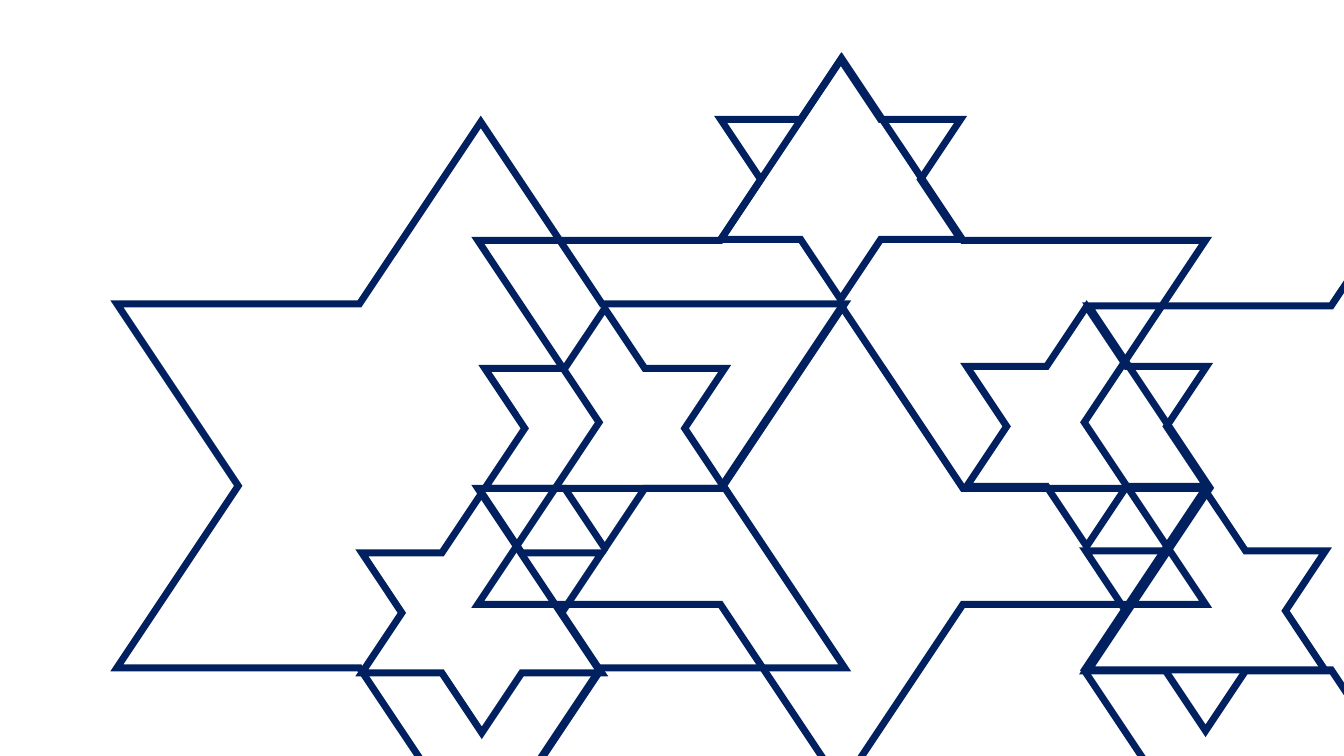
"""Build a slide with a pattern of overlapping outlined six-pointed stars."""
from typing import NamedTuple

from lxml import etree
from pptx import Presentation
from pptx import util as u
from pptx.dml import color
from pptx.enum import shapes
from pptx.oxml import ns
from pptx.slide import Slide

NAVY = "002060"
LINE_WIDTH = 5
LARGE = 519.84
SMALL = 171.36


class Star(NamedTuple):
    left: float
    top: float
    size: float


STARS = [
    Star(341.28, 41.76, LARGE),
    Star(514.8, 42.48, SMALL),
    Star(775.44, 350.64, SMALL),
    Star(346.32, 220.32, SMALL),
    Star(690.48, 218.88, SMALL),
    Star(258.48, 352.08, SMALL),
    Star(341.28, 218.88, LARGE),
    Star(777.6, 88.56, LARGE),
    Star(83.52, 87.12, LARGE),
]


def rgb(value: str) -> color.RGBColor:
    return color.RGBColor.from_string(value)


def draw_star(slide: Slide, star: Star) -> None:
    shape = slide.shapes.add_shape(
        shapes.MSO_SHAPE.STAR_6_POINT,
        u.Pt(star.left), u.Pt(star.top), u.Pt(star.size), u.Pt(star.size),
    )
    shape.shadow.inherit = False
    shape.fill.background()
    shape.line.color.rgb = rgb(NAVY)
    shape.line.width = u.Pt(LINE_WIDTH)
    outline = shape.element.spPr.find(ns.qn("a:ln"))
    etree.SubElement(outline, ns.qn("a:miter"), lim="800000")


def main() -> None:
    presentation = Presentation()
    presentation.slide_width = u.Pt(960)
    presentation.slide_height = u.Pt(540)
    slide = presentation.slides.add_slide(presentation.slide_layouts[6])
    slide.background.fill.solid()
    slide.background.fill.fore_color.rgb = rgb("FFFFFF")
    for star in STARS:
        draw_star(slide, star)
    presentation.save("out.pptx")


if __name__ == "__main__":
    main()
